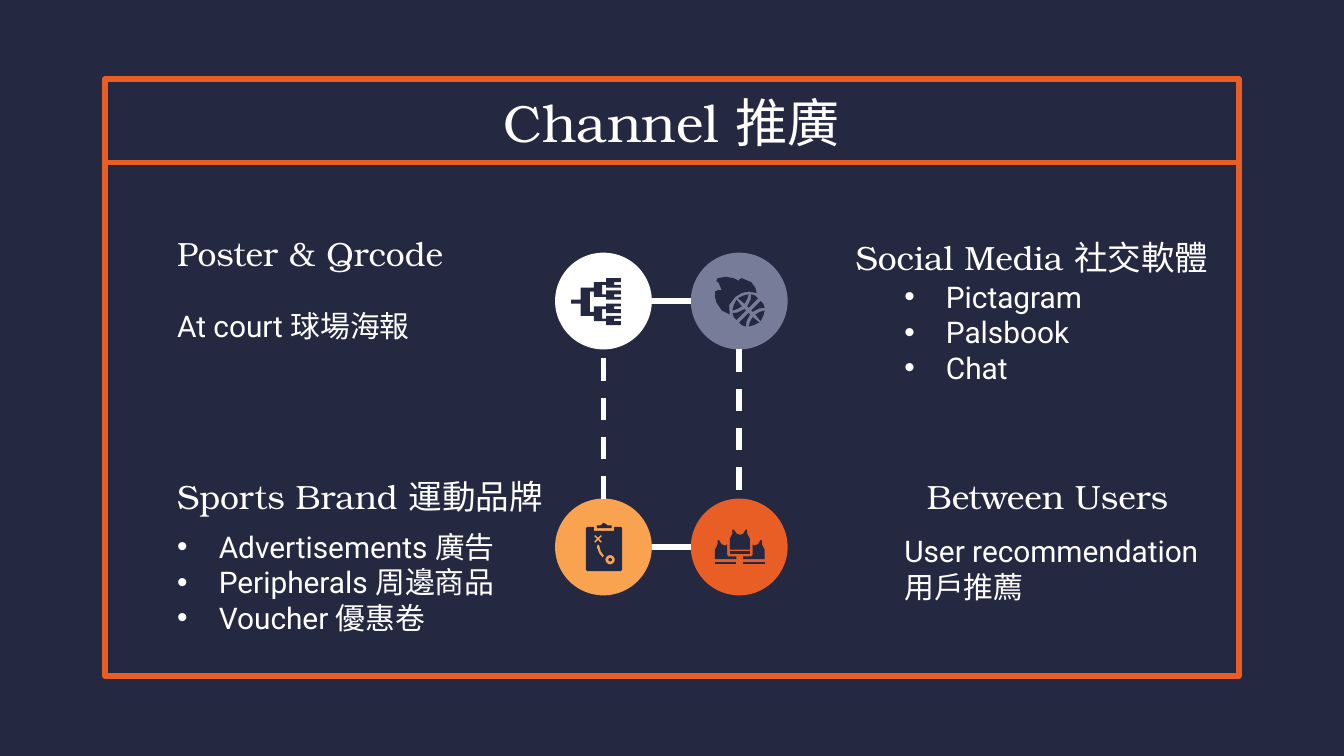
from math import cos, pi, sin

from lxml import etree
from pptx import Presentation
from pptx.dml.color import RGBColor
from pptx.enum.dml import MSO_LINE
from pptx.enum.shapes import MSO_CONNECTOR, MSO_SHAPE
from pptx.enum.text import MSO_ANCHOR, PP_ALIGN
from pptx.oxml.ns import qn
from pptx.util import Inches, Pt

UNIT = Inches(0.01)
SLIDE_WIDTH = Inches(10)
SLIDE_HEIGHT = SLIDE_WIDTH * 9 // 16
NAVY = RGBColor(0x24, 0x28, 0x41)
ORANGE = RGBColor(0xE9, 0x5E, 0x24)
AMBER = RGBColor(0xF9, 0xA3, 0x50)
SLATE = RGBColor(0x77, 0x7D, 0x99)
WHITE = RGBColor(0xFF, 0xFF, 0xFF)
SERIF, SANS = "TeX Gyre Bonum", "Roboto"
LEFT, CENTER, RIGHT = PP_ALIGN.LEFT, PP_ALIGN.CENTER, PP_ALIGN.RIGHT
MIDDLE = MSO_ANCHOR.MIDDLE
STRAIGHT, DASH = MSO_CONNECTOR.STRAIGHT, MSO_LINE.DASH
RECTANGLE, OVAL = MSO_SHAPE.RECTANGLE, MSO_SHAPE.OVAL
DISC = 72
FRAME_FORMAT = {
    "word_wrap": True, "vertical_anchor": MIDDLE,
    "margin_left": 10 * UNIT, "margin_right": 10 * UNIT,
    "margin_top": 10 * UNIT, "margin_bottom": 10 * UNIT,
}
TITLE = {"name": SERIF, "size": Pt(28)}
HEADING = {"name": SERIF, "size": Pt(18)}
BODY = {"name": SANS, "size": Pt(16)}
TOPICS = [
    ((122, 160, 268, 57), "Poster & Qrcode", LEFT,
     (122, 207, 268, 70), ["At court 球場海報"], False),
    ((581, 163, 328, 57), "Social Media 社交軟體", RIGHT,
     (663, 212, 268, 70), ["Pictagram", "Palsbook", "Chat"], True),
    ((122, 341, 308, 57), "Sports Brand 運動品牌", LEFT, (122, 398, 268, 70),
     ["Advertisements 廣告", "Peripherals 周邊商品", "Voucher 優惠卷"], True),
    ((611, 341, 268, 57), "Between Users", RIGHT,
     (663, 388, 268, 70), ["User recommendation", "用戶推薦"], False),
]


def add_text(slide, box, lines, font, align=LEFT, bulleted=False):
    """Write lines in a vertically centred text box."""
    frame = slide.shapes.add_textbox(*(v * UNIT for v in box)).text_frame
    for name, value in FRAME_FORMAT.items():
        setattr(frame, name, value)
    for index, line in enumerate(lines):
        paragraph = frame.add_paragraph() if index else frame.paragraphs[0]
        paragraph.alignment = align
        run = paragraph.add_run()
        run.text = line
        run.font.color.rgb = WHITE
        for name, value in font.items():
            setattr(run.font, name, value)
        if bulleted:
            properties = paragraph._p.get_or_add_pPr()
            properties.set("marL", str(31 * UNIT))
            properties.set("indent", str(-31 * UNIT))
            etree.SubElement(properties, qn("a:buFont")).set("typeface", "Arial")
            etree.SubElement(properties, qn("a:buChar")).set("char", "•")


def add_line(slide, start, end, color, dash=None):
    """Draw a straight line between two grid points."""
    points = (v * UNIT for v in (*start, *end))
    connector = slide.shapes.add_connector(STRAIGHT, *points)
    connector.line.color.rgb = color
    connector.line.width = Pt(3)
    connector.line.dash_style = dash
    etree.SubElement(connector._element.spPr, qn("a:effectLst"))


def add_outline(slide, origin, contours):
    """Fill closed contours given in grid units from the origin."""
    placed = [[(round((origin[0] + x) * UNIT), round((origin[1] + y) * UNIT))
               for x, y in contour] for contour in contours]
    builder = slide.shapes.build_freeform(*placed[0][0])
    for index, contour in enumerate(placed):
        if index:
            builder.move_to(*contour[0])
        builder.add_line_segments(contour[1:], close=True)
    shape = builder.convert_to_shape()
    shape.shadow.inherit = False
    shape.fill.solid()
    shape.fill.fore_color.rgb = NAVY
    shape.line.fill.background()


def rectangle(left, top, right, bottom):
    """Return the corners of a rectangle."""
    return [(left, top), (right, top), (right, bottom), (left, bottom)]


def ring(x, y, radius):
    """Return points around a circle."""
    return [(x + radius * cos(k * pi / 8), y + radius * sin(k * pi / 8)) for k in range(16)]


def draw_bracket(slide, origin):
    """Draw a tournament bracket, its lower half mirroring the upper."""
    upper = [(12, 35), (19, 35), (19, 26), (29, 26), (29, 22), (38, 22), (38, 19),
             (49, 19), (49, 22), (44, 22), (44, 24), (49, 24), (49, 26), (38, 26),
             (38, 24), (35, 24), (35, 31), (38, 31), (38, 28), (49, 28), (49, 31),
             (44, 31), (44, 33), (49, 33), (49, 35), (38, 35), (38, 33), (29, 33),
             (29, 29), (26, 29)]
    add_outline(slide, origin, [upper + [(x, 73 - y) for x, y in reversed(upper)]])


def draw_ball(slide, origin):
    """Draw a flaming ball whose panels mirror across both diagonals."""
    inner = [(2, -12), (1.5, -8), (-1, -3), (0, -2), (7, -9), (5, -11)]
    outer = [(12, 0), (8.5, 1), (5, 3), (9, 8), (11, 4)]
    flame = [(26, 18), (20, 19), (19, 21), (21, 23), (23, 28), (20, 28), (18, 29),
             (18, 33), (19, 37), (23, 43), (29, 46), (28.5, 39), (33, 33), (38, 30),
             (43, 29), (49, 30), (48, 26), (45, 22), (38, 19), (36, 20), (36, 21),
             (32, 19)]
    for panel in (inner, outer):
        for sign in (1, -1):
            add_outline(slide, origin, [[(43 + sign * x, 43 + sign * y) for x, y in panel]])
            add_outline(slide, origin, [[(43 + sign * y, 43 + sign * x) for x, y in panel]])
    add_outline(slide, origin, [flame])


def draw_clipboard(slide, origin):
    """Draw a clipboard with a play cut out of it."""
    board = [(24, 21), (29, 21), (29, 24), (44, 24), (44, 21), (49, 21), (50, 22),
             (50, 53), (49, 54), (24, 54), (23, 53), (23, 22)]
    clip = [(36, 18), (38, 19), (39, 20), (42, 20), (42, 22), (31, 22), (31, 20),
            (34, 20), (35, 19)]
    cross = [(29, 28), (30, 27), (32, 29), (34, 27), (35, 28), (33, 30), (35, 32),
             (34, 33), (32, 31), (30, 33), (29, 32), (31, 30)]
    route = [(32, 34), (33, 35), (34, 39), (36.5, 42.5), (35.5, 44), (33, 41), (31, 36)]
    add_outline(slide, origin, [ring(41, 45.5, 1.3)])
    add_outline(slide, origin, [clip])
    add_outline(slide, origin, [board, cross, route, ring(41, 45.5, 3.5)])


def draw_vests(slide, origin):
    """Draw three vests, the left one mirroring the right."""
    middle = [(31, 23), (31, 26), (29, 30), (29, 38), (44, 38), (44, 30), (42, 26),
              (42, 23), (41, 23), (39, 26), (37, 27), (34, 26), (32, 23)]
    right = [(52, 31), (50, 34), (47, 35), (46, 34), (46, 42), (45, 43), (39, 43),
             (39, 45), (55, 45), (55, 38), (53, 34), (53, 31)]
    hem = rectangle(39, 47, 55, 49)
    for contour in (middle, rectangle(29, 39, 44, 41), right, hem):
        add_outline(slide, origin, [contour])
    for contour in (right, hem):
        add_outline(slide, origin, [[(73 - x, y) for x, y in contour]])


def draw_frame(slide, box, title, header):
    """Draw the outer frame with a titled header row."""
    left, top, width, height = box
    shape = slide.shapes.add_shape(RECTANGLE, *(v * UNIT for v in box))
    shape.shadow.inherit = False
    shape.fill.background()
    shape.line.color.rgb = ORANGE
    shape.line.width = Pt(3)
    etree.SubElement(shape.line._get_or_add_ln(), qn("a:round"))
    add_line(slide, (left + 2, top + header), (left + width - 2, top + header), ORANGE)
    add_text(slide, (left, top, width, header + 1), [title], TITLE, CENTER)


def draw_topic(slide, heading_box, heading, align, body_box, lines, bulleted):
    """Write one topic as a heading with its body."""
    add_text(slide, body_box, lines, BODY, LEFT, bulleted)
    add_text(slide, heading_box, [heading], HEADING, align)


def draw_diagram(slide, box):
    """Draw four icon discs in the corners of a box and join them."""
    left, top, width, height = box
    right, bottom = left + width - DISC, top + height - DISC
    discs = [(left, top, WHITE, draw_bracket), (right, top, SLATE, draw_ball),
             (left, bottom, AMBER, draw_clipboard), (right, bottom, ORANGE, draw_vests)]
    for x, y, color, _ in discs:
        shape = slide.shapes.add_shape(OVAL, *(v * UNIT for v in (x, y, DISC, DISC)))
        shape.shadow.inherit = False
        shape.fill.solid()
        shape.fill.fore_color.rgb = color
        shape.line.fill.background()
    half = DISC // 2
    for y in (top + half, bottom + half):
        add_line(slide, (left + DISC, y), (right, y), WHITE)
    add_line(slide, (right + half, top + DISC), (right + half, bottom), WHITE, DASH)
    add_line(slide, (left + half, bottom), (left + half, top + DISC), WHITE, DASH)
    for x, y, _, draw_icon in discs:
        draw_icon(slide, (x, y))


def main():
    """Build and save the channel slide."""
    presentation = Presentation()
    presentation.slide_width, presentation.slide_height = SLIDE_WIDTH, SLIDE_HEIGHT
    slide = presentation.slides.add_slide(presentation.slide_layouts[6])
    slide.background.fill.solid()
    slide.background.fill.fore_color.rgb = NAVY
    draw_frame(slide, (78, 59, 844, 444), "Channel 推廣", 62)
    for topic in TOPICS:
        draw_topic(slide, *topic)
    draw_diagram(slide, (413, 188, 173, 255))
    presentation.save("out.pptx")


if __name__ == "__main__":
    main()
